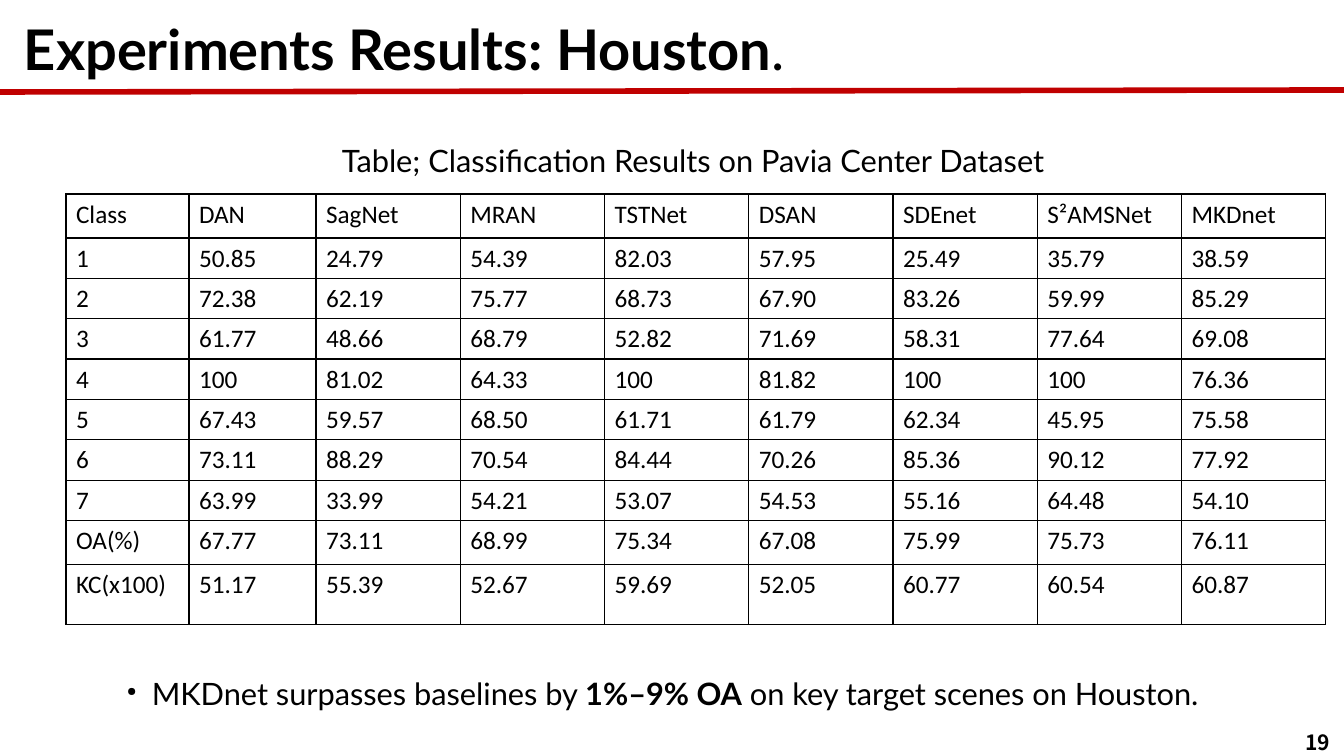
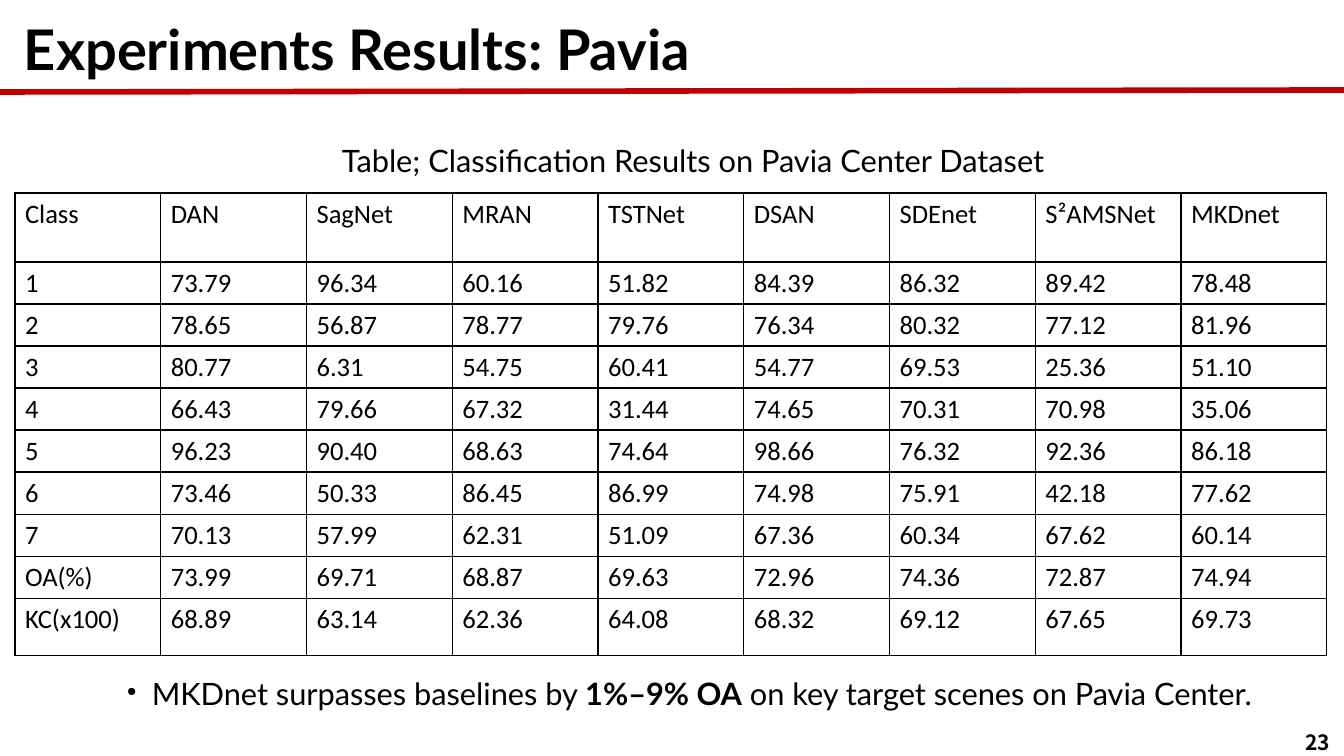
from dataclasses import dataclass

from lxml import etree
from pptx import Presentation
from pptx.dml.color import RGBColor
from pptx.enum.shapes import MSO_CONNECTOR
from pptx.enum.text import MSO_ANCHOR, MSO_AUTO_SIZE, PP_ALIGN
from pptx.oxml.ns import qn
from pptx.util import Pt

STRAIGHT = MSO_CONNECTOR.STRAIGHT
TOP, MIDDLE = MSO_ANCHOR.TOP, MSO_ANCHOR.MIDDLE
LEFT, RIGHT = PP_ALIGN.LEFT, PP_ALIGN.RIGHT
FIXED, GROW = MSO_AUTO_SIZE.NONE, MSO_AUTO_SIZE.SHAPE_TO_FIT_TEXT

SLIDE_W, SLIDE_H = 1344, 756
EMU_PER_PX = 12192000 / SLIDE_W


def px(n):
    return round(n * EMU_PER_PX)


@dataclass(frozen=True)
class Theme:
    ink: str = "000000"
    paper: str = "FFFFFF"
    rule: str = "C00000"
    text_font: str = "Lato"
    table_font: str = "Calibri"
    number_font: str = "Noto Sans CJK SC"
    title_size: int = 40
    body_size: int = 22
    number_size: int = 15
    rule_width: int = 4
    grid_width: int = 1


class Deck:
    """Holds the style and the current slide."""

    def __init__(self, theme):
        self.theme = theme
        self.prs = Presentation()
        self.prs.slide_width, self.prs.slide_height = px(SLIDE_W), px(SLIDE_H)
        self.s = None

    def run(self, p, text, font, size, bold=False):
        r = p.add_run()
        r.text = text
        style = {"name": font, "size": Pt(size), "bold": bold}
        for key, value in style.items():
            setattr(r.font, key, value)
        r.font.color.rgb = RGBColor.from_string(self.theme.ink)

    def text(self, box, runs, size, font=None, align=LEFT, anchor=TOP, fit=FIXED):
        """Add a text box; runs is a list of (text, bold) pairs."""
        tf = self.s.shapes.add_textbox(*map(px, box)).text_frame
        frame = {"word_wrap": True, "auto_size": fit, "vertical_anchor": anchor}
        for key, value in frame.items():
            setattr(tf, key, value)
        p = tf.paragraphs[0]
        p.alignment = align
        for text, bold in runs:
            self.run(p, text, font or self.theme.text_font, size, bold)
        return p

    def rule(self, x1, y1, x2, y2):
        line = self.s.shapes.add_connector(STRAIGHT, *map(px, (x1, y1, x2, y2)))
        line.line.color.rgb = RGBColor.from_string(self.theme.rule)
        line.line.width = Pt(self.theme.rule_width)
        etree.SubElement(line._element.spPr, qn("a:effectLst"))

    def slide(self, title, number):
        """Start a slide with the shared title, red rule and page number."""
        t = self.theme
        self.s = self.prs.slides.add_slide(self.prs.slide_layouts[6])
        fill = self.s.background.fill
        fill.solid()
        fill.fore_color.rgb = RGBColor.from_string(t.paper)
        self.text((1113, 722, 227, 40), [(str(number), True)], t.number_size,
                  t.number_font, RIGHT, MIDDLE)
        self.rule(0, 92, SLIDE_W, 90)
        self.text((14, 10, 1178, 78), title, t.title_size, fit=GROW)

    def caption(self, text):
        self.text((332, 137, 803, 47), [(text, False)], self.theme.body_size, fit=GROW)

    def bullet(self, runs):
        p = self.text((66, 651, 1210, 71), runs, self.theme.body_size)
        p.level = 1
        p.line_spacing = 1.5
        pPr = p._p.get_or_add_pPr()
        pPr.set("marL", str(px(76)))
        pPr.set("indent", str(-px(25)))
        etree.SubElement(pPr, qn("a:buSzPct"), val="40000")
        etree.SubElement(pPr, qn("a:buChar"), char="●")

    def borders(self, cell):
        tcPr = cell._tc.get_or_add_tcPr()
        for side in ("lnL", "lnR", "lnT", "lnB"):
            ln = etree.SubElement(tcPr, qn(f"a:{side}"), w=str(Pt(self.theme.grid_width)))
            fill = etree.SubElement(ln, qn("a:solidFill"))
            etree.SubElement(fill, qn("a:srgbClr"), val=self.theme.ink)

    def table(self, x, y, width, first_cols, heights, rows, size):
        """Add a grid; the columns after first_cols share the remaining width."""
        n = len(rows[0])
        rest = (width - sum(first_cols)) / (n - len(first_cols))
        widths = first_cols + [rest] * (n - len(first_cols))
        table = self.s.shapes.add_table(
            len(rows), n, *map(px, (x, y, width, sum(heights)))).table
        table.first_row = table.horz_banding = False
        for col, w in zip(table.columns, widths):
            col.width = px(w)
        for row, h, values in zip(table.rows, heights, rows):
            row.height = px(h)
            for cell, value in zip(row.cells, values):
                self.run(cell.text_frame.paragraphs[0], value, self.theme.table_font, size)
                self.borders(cell)
                cell.fill.background()


METHODS = "Class DAN SagNet MRAN TSTNet DSAN SDEnet S²AMSNet MKDnet"

HOUSTON = """
1 50.85 24.79 54.39 82.03 57.95 25.49 35.79 38.59
2 72.38 62.19 75.77 68.73 67.90 83.26 59.99 85.29
3 61.77 48.66 68.79 52.82 71.69 58.31 77.64 69.08
4 100 81.02 64.33 100 81.82 100 100 76.36
5 67.43 59.57 68.50 61.71 61.79 62.34 45.95 75.58
6 73.11 88.29 70.54 84.44 70.26 85.36 90.12 77.92
7 63.99 33.99 54.21 53.07 54.53 55.16 64.48 54.10
OA(%) 67.77 73.11 68.99 75.34 67.08 75.99 75.73 76.11
KC(x100) 51.17 55.39 52.67 59.69 52.05 60.77 60.54 60.87
"""

PAVIA = """
1 73.79 96.34 60.16 51.82 84.39 86.32 89.42 78.48
2 78.65 56.87 78.77 79.76 76.34 80.32 77.12 81.96
3 80.77 6.31 54.75 60.41 54.77 69.53 25.36 51.10
4 66.43 79.66 67.32 31.44 74.65 70.31 70.98 35.06
5 96.23 90.40 68.63 74.64 98.66 76.32 92.36 86.18
6 73.46 50.33 86.45 86.99 74.98 75.91 42.18 77.62
7 70.13 57.99 62.31 51.09 67.36 60.34 67.62 60.14
OA(%) 73.99 69.71 68.87 69.63 72.96 74.36 72.87 74.94
KC(x100) 68.89 63.14 62.36 64.08 68.32 69.12 67.65 69.73
"""

# One entry per results slide
RESULTS = [
    {"title": [("Experiments Results: Houston", True), (".", False)],
     "number": 19, "scene": "Houston", "scores": HOUSTON,
     "grid": {"x": 66, "y": 194, "width": 1260, "first_cols": [123, 127],
              "heights": [44] + [40] * 7 + [44, 60], "size": 18}},
    {"title": [("Experiments Results: Pavia", True)],
     "number": 23, "scene": "Pavia Center", "scores": PAVIA,
     "grid": {"x": 15, "y": 193, "width": 1312, "first_cols": [],
              "heights": [69] + [42] * 8 + [57], "size": 19}},
]


def main():
    deck = Deck(Theme())
    for result in RESULTS:
        deck.slide(result["title"], result["number"])
        deck.bullet([("MKDnet surpasses baselines by ", False), ("1%–9% OA", True),
                     (f" on key target scenes on {result['scene']}.", False)])
        deck.caption("Table; Classification Results on Pavia Center Dataset")
        lines = [METHODS] + result["scores"].strip().splitlines()
        deck.table(rows=[line.split() for line in lines], **result["grid"])
    deck.prs.save("out.pptx")


if __name__ == "__main__":
    main()
